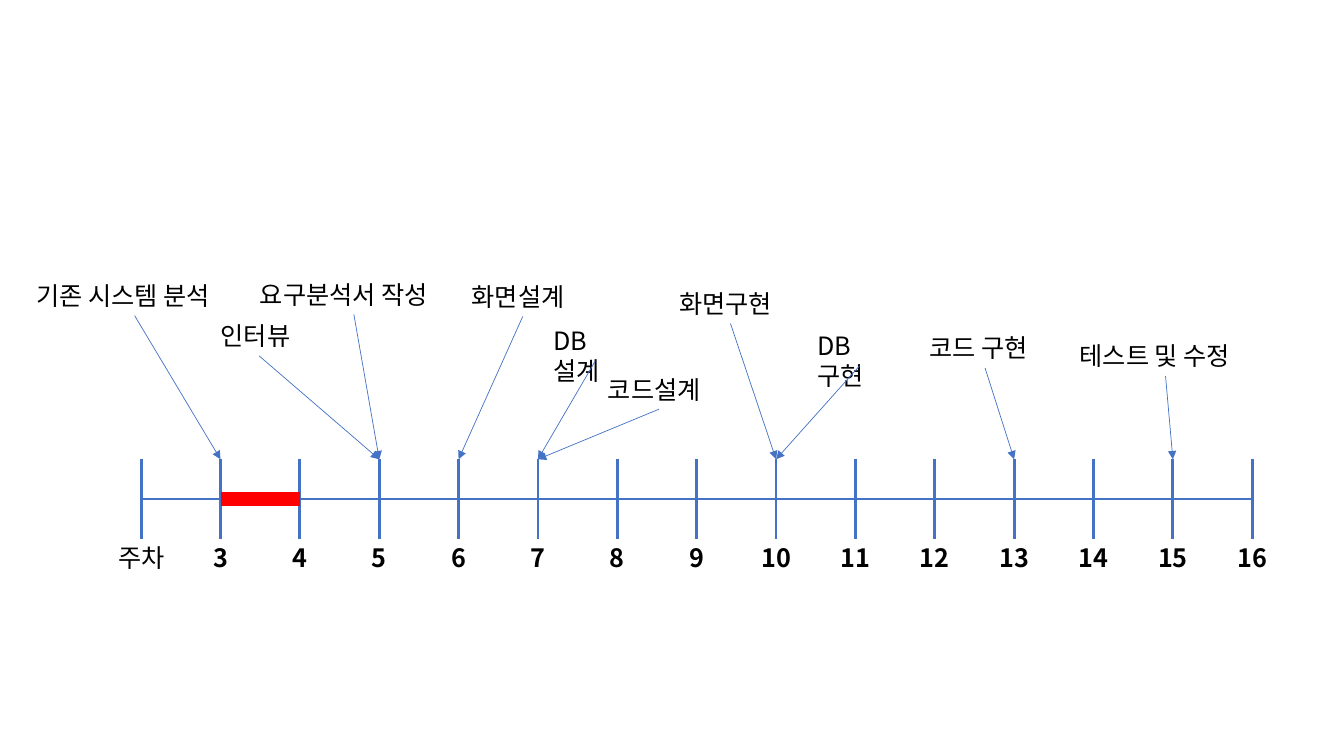
from lxml.etree import SubElement
from pptx import Presentation
from pptx.dml.color import RGBColor
from pptx.enum.shapes import MSO_CONNECTOR as Connector
from pptx.enum.text import MSO_ANCHOR as Anchor, MSO_AUTO_SIZE as AutoSize, PP_ALIGN as Align
from pptx.oxml.ns import qn
from pptx.util import Inches, Pt

FONT = "Noto Sans CJK KR"
BLUE, RED, BLACK = "4472C4", "FF0000", "000000"
FIRST_WEEK, LAST_WEEK = 2, 16
AXIS_LEFT, AXIS_RIGHT, AXIS_Y = 1.4, 12.42, 4.95
COLUMN = (AXIS_RIGHT - AXIS_LEFT) / (LAST_WEEK - FIRST_WEEK)
TICK_TOP, TICK_BOTTOM = AXIS_Y - COLUMN / 2, AXIS_Y + COLUMN / 2
ROW = 0.4

presentation = Presentation()
presentation.slide_width, presentation.slide_height = Inches(13.33), Inches(7.5)
slide = presentation.slides.add_slide(presentation.slide_layouts[6])


def add_line(start, end, color, width, arrow=False):
    """Draw a straight line, with an arrowhead at its end if asked."""
    line = slide.shapes.add_connector(
        Connector.STRAIGHT, *[Inches(value) for value in (*start, *end)])
    line.line.color.rgb = RGBColor.from_string(color)
    line.line.width = Pt(width)
    if arrow:
        SubElement(line.line._get_or_add_ln(), qn("a:tailEnd"), type="triangle")
    SubElement(line._element.spPr, qn("a:effectLst"))


def add_label(text, left, top, width, align=Align.LEFT, bold=False, wrap=False, side=0.1):
    """Place text in a box one row high that grows with it; side is the right and left inset."""
    shape = slide.shapes.add_textbox(*[Inches(value) for value in (left, top, width, ROW)])
    frame = shape.text_frame
    frame.word_wrap = wrap
    frame.auto_size = AutoSize.SHAPE_TO_FIT_TEXT
    frame.vertical_anchor = Anchor.TOP
    frame.margin_left = Inches(side)
    frame.margin_right = Inches(0.2 if wrap else side)
    paragraph = frame.paragraphs[0]
    paragraph.text = text
    paragraph.alignment = align
    font = paragraph.font
    font.size, font.bold, font.name = Pt(18), bold, FONT
    font.color.rgb = RGBColor.from_string(BLACK)
    SubElement(font._element, qn("a:ea"), typeface=FONT)


week_x = {week: AXIS_LEFT + (week - FIRST_WEEK) * COLUMN
          for week in range(FIRST_WEEK, LAST_WEEK + 1)}

# Axis, ticks and the highlighted week
for x in week_x.values():
    add_line((x, TICK_TOP), (x, TICK_BOTTOM), BLUE, 2)
add_line((AXIS_LEFT, AXIS_Y), (AXIS_RIGHT, AXIS_Y), BLUE, 2)
add_line((week_x[3], AXIS_Y), (week_x[4], AXIS_Y), RED, 10)

# Week numbers, centred under the ticks
for week, x in week_x.items():
    heading = week == FIRST_WEEK
    width = 0.79 if heading else 0.35 if week < 10 else 0.49
    add_label("주차" if heading else str(week), x - width / 2, 5.33, width,
              Align.CENTER, bold=not heading, side=0)

# Tasks: text, left, top, width, week the arrow points to
tasks = [
    ("기존 시스템 분석", 0.26, 2.73, 2.15, 3),
    ("인터뷰", 2.09, 3.13, 0.96, 5),
    ("요구분석서 작성", 2.48, 2.72, 2.06, 5),
    ("화면설계", 4.58, 2.74, 1.21, 6),
    ("코드설계", 5.93, 3.66, 1.21, 7),
    ("DB설계", 5.39, 3.18, 1.03, 7),
    ("화면구현", 6.64, 2.81, 1.21, 10),
    ("DB구현", 8.01, 3.23, 1.03, 10),
    ("코드 구현", 9.12, 3.25, 1.3, 13),
    ("테스트 및 수정", 10.61, 3.33, 1.9, 15),
]
for text, left, top, width, week in tasks:
    add_label(text, left, top, width, wrap=text.startswith("DB"))
for text, left, top, width, week in tasks:
    add_line((left + width / 2, top + ROW), (week_x[week], TICK_TOP), BLUE, 0.5, arrow=True)

presentation.save("out.pptx")
